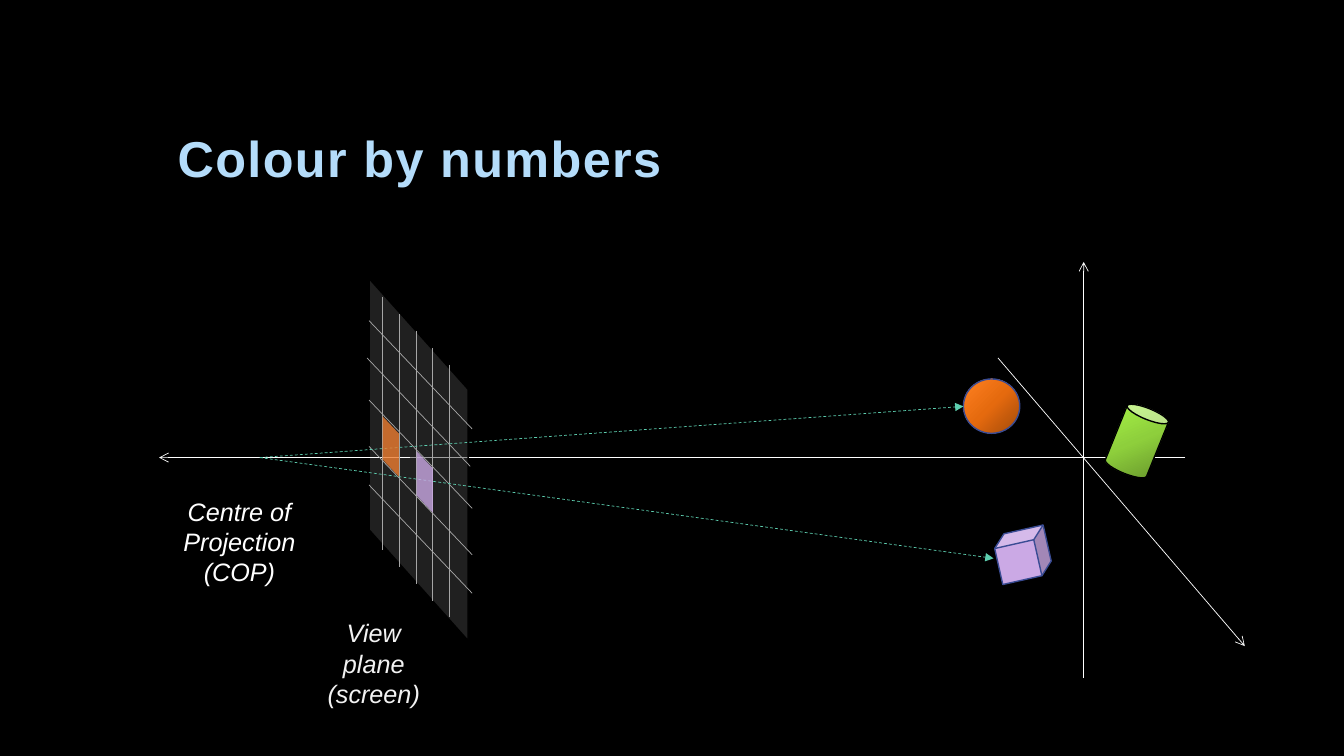
from copy import deepcopy
from dataclasses import dataclass

from pptx import Presentation
from pptx import util as u
from pptx.dml.color import RGBColor
from pptx.enum import dml, shapes, text
from pptx.oxml import ns
from pptx.oxml.xmlchemy import OxmlElement


@dataclass(frozen=True)
class Theme:
    font: str = "Arial"
    title_size: int = 36
    label_size: int = 18
    hairline: float = 0.5
    outline: float = 1
    background: str = "000000"
    title: str = "B4DCFA"
    white: str = "FFFFFF"
    off_white: str = "F2F2F2"
    grid: str = "A6A6A6"
    ray: str = "5DCEAF"
    edge: str = "3A4C94"
    screen: str = "404040"
    orange: str = "ED7D31"
    lilac: str = "CBA9E5"
    sphere: tuple = ("A14A0A", "E56A0E", "FF8021")
    can: tuple = ("64912A", "8ECF3C", "A8F547")


def apply(target, values):
    for name, value in values.items():
        setattr(target, name, value)


def rgb(colour):
    return RGBColor.from_string(colour)


def child(parent, tag, **attributes):
    element = OxmlElement(tag)
    for name, value in attributes.items():
        element.set(name, value)
    parent.append(element)


class Diagram:
    def __init__(self, slide, theme):
        self.slide = slide
        self.theme = theme
        slide.background.fill.solid()
        slide.background.fill.fore_color.rgb = rgb(theme.background)

    def wording(self, frame, words, size, colour, **style):
        frame.text = words
        paragraph = frame.paragraphs[0]
        for run in paragraph.runs:
            apply(run.font, {"name": self.theme.font, "size": u.Pt(size), **style})
            run.font.color.rgb = rgb(colour)
        return paragraph

    def title(self, words, left, top, width, height):
        heading = self.slide.shapes.title
        apply(heading, {"left": u.Cm(left), "top": u.Cm(top),
                        "width": u.Cm(width), "height": u.Cm(height)})
        frame = heading.text_frame
        apply(frame, {"vertical_anchor": text.MSO_ANCHOR.BOTTOM, "word_wrap": True})
        paragraph = self.wording(frame, words, self.theme.title_size,
                                 self.theme.title, bold=True)
        apply(paragraph, {"alignment": text.PP_ALIGN.LEFT, "line_spacing": 0.9})
        paragraph.runs[0].font._element.set("spc", "100")

    def label(self, words, box, colour):
        frame = self.slide.shapes.add_textbox(*map(u.Cm, box)).text_frame
        frame.word_wrap = True
        paragraph = self.wording(frame, words, self.theme.label_size, colour, italic=True)
        paragraph.alignment = text.PP_ALIGN.CENTER

    def line(self, start, end, colour, head=None, dash=None):
        connector = self.slide.shapes.add_connector(
            shapes.MSO_CONNECTOR.STRAIGHT, *map(u.Cm, (*start, *end)))
        connector.line.color.rgb = rgb(colour)
        apply(connector.line, {"width": u.Pt(self.theme.hairline), "dash_style": dash})
        properties = connector._element.spPr
        if head:
            child(properties.find(ns.qn("a:ln")), "a:tailEnd", type=head)
        child(properties, "a:effectLst")

    def solid(self, kind, box, fill, edge=None, rotation=0, flips=(), skew=None, alpha=None):
        body = self.slide.shapes.add_shape(kind, *map(u.Cm, box))
        body.shadow.inherit = False
        body.rotation = rotation
        properties = body._element.spPr
        for flip in flips:
            properties.find(ns.qn("a:xfrm")).set(flip, "1")
        if skew:
            body.adjustments[0] = skew
        if isinstance(fill, tuple):
            self.shade(body, fill)
        else:
            body.fill.solid()
            body.fill.fore_color.rgb = rgb(fill)
        if alpha:
            tint = properties.find(ns.qn("a:solidFill"))[0]
            child(tint, "a:alpha", val=str(alpha * 1000))
        if edge:
            body.line.color.rgb = rgb(edge)
            body.line.width = u.Pt(self.theme.outline)
        else:
            body.line.fill.background()

    def shade(self, body, colours):
        body.fill.gradient()
        body.fill.gradient_angle = 135
        stops = body._element.spPr.find(".//" + ns.qn("a:gsLst"))
        stops.append(deepcopy(stops[-1]))
        for stop, colour, position in zip(body.fill.gradient_stops, colours, (0, 0.5, 1)):
            stop.color.rgb = rgb(colour)
            stop.position = position


def draw_scene(diagram, theme, axis_y):
    for start, end in (((29.87, axis_y), (4.01, axis_y)),
                       ((27.31, 17.09), (27.31, 6.6)),
                       ((25.15, 9.02), (31.37, 16.28))):
        diagram.line(start, end, theme.white, head="arrow")
    diagram.label("Centre of Projection (COP)", (3.71, 12.37, 4.65, 2.57), theme.white)
    kinds = shapes.MSO_SHAPE
    diagram.solid(kinds.OVAL, (24.28, 9.55, 1.42, 1.37), theme.sphere, theme.edge)
    diagram.solid(kinds.CUBE, (25.12, 13.36, 1.32, 1.24), theme.lilac, theme.edge,
                  rotation=347.3)
    diagram.solid(kinds.CAN, (28.09, 10.24, 1.12, 1.75), theme.can, theme.background,
                  rotation=22)


def draw_view_plane(diagram, theme, axis_y):
    diagram.label("View plane\v(screen)", (7.77, 15.44, 3.3, 1.8), theme.off_white)
    diagram.solid(shapes.MSO_SHAPE.PARALLELOGRAM, (6.32, 9.47, 8.46, 4.22), theme.screen,
                  theme.background, rotation=48.2, flips=("flipV",), skew=1.118, alpha=50)
    diagram.line((7.92, axis_y), (10.34, axis_y), theme.white)
    for column in range(5):
        x, y = 9.63 + 0.425 * column, 7.49 + 0.425 * column
        diagram.line((x, y), (x, y + 6.37), theme.grid)
    for x, y in ((9.3, 8.08), (9.25, 9.02), (9.3, 10.08), (9.3, 11.25), (9.3, 12.22)):
        diagram.line((x, y), (x + 2.6, y + 2.73), theme.grid)


def draw_rays(diagram, theme, axis_y):
    for target, pixel, colour in (
            ((24.28, 10.24), (9.09, 11.05, 1.52, 0.41), theme.orange),
            ((25.04, 14.07), (9.93, 11.94, 1.55, 0.41), theme.lilac)):
        diagram.line((6.55, axis_y), target, theme.ray, head="triangle",
                     dash=dml.MSO_LINE.DASH)
        diagram.solid(shapes.MSO_SHAPE.PARALLELOGRAM, pixel, colour, rotation=90,
                      flips=("flipH", "flipV"), skew=1.06, alpha=80)


def main():
    deck = Presentation()
    apply(deck, {"slide_width": u.Cm(33.87), "slide_height": u.Cm(19.05)})
    theme = Theme()
    diagram = Diagram(deck.slides.add_slide(deck.slide_layouts[5]), theme)
    diagram.title("Colour by numbers", 4.22, 1.07, 25.4, 3.81)
    for draw in (draw_scene, draw_view_plane, draw_rays):
        draw(diagram, theme, axis_y=11.53)
    deck.save("out.pptx")


if __name__ == "__main__":
    main()
